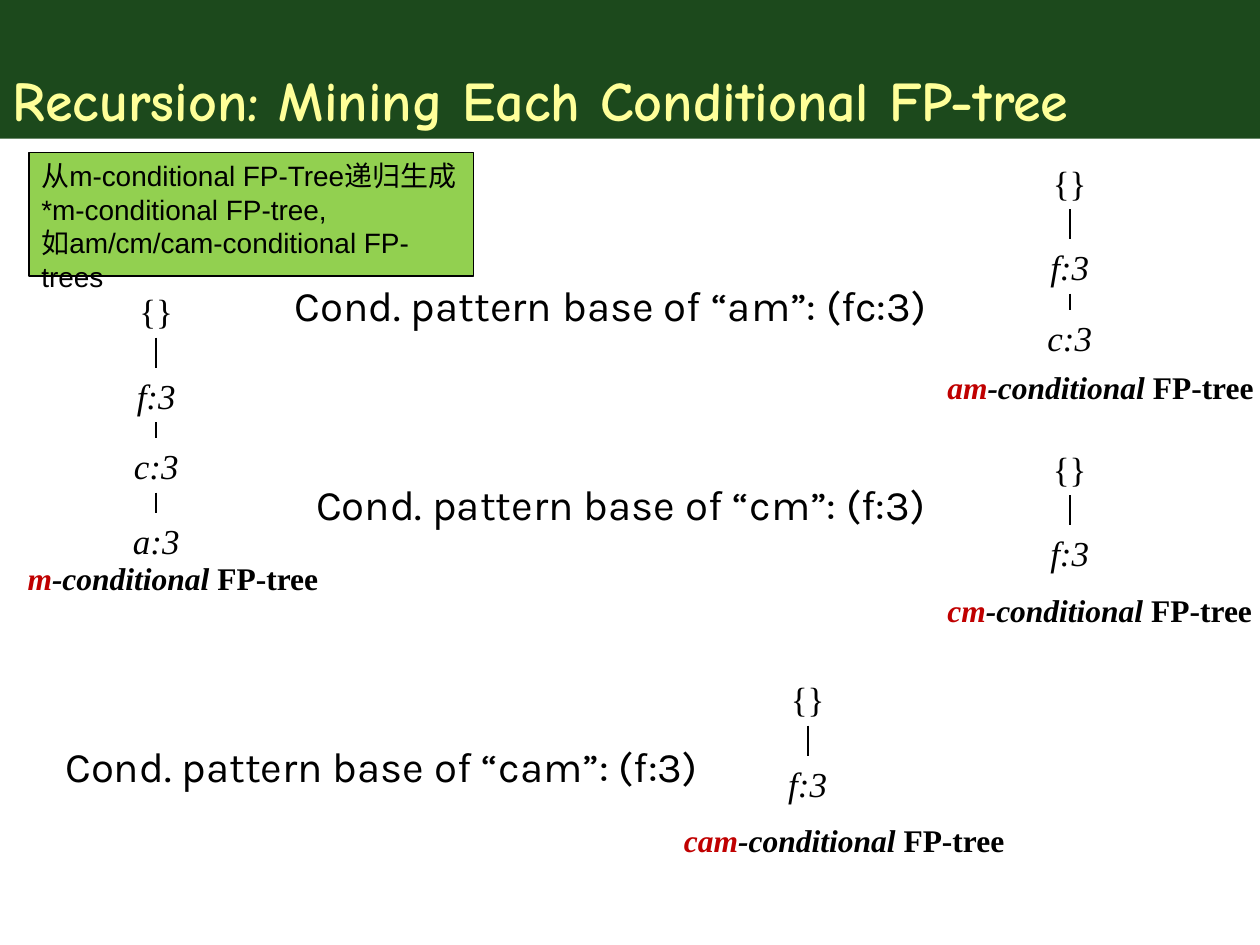
from lxml.etree import SubElement
from pptx import Presentation
from pptx.dml.color import RGBColor
from pptx.enum.shapes import MSO_CONNECTOR, MSO_SHAPE
from pptx.enum.text import MSO_ANCHOR, MSO_AUTO_SIZE, PP_ALIGN
from pptx.oxml.ns import qn
from pptx.util import Inches, Pt

COLORS = {
    "banner": "003300",
    "title": "FFFF99",
    "note": "92D050",
    "item": "C00000",
    "ink": "000000",
}
SERIF = "Times New Roman"
NODE_HEIGHT = 0.43
NODE_WIDTH = 0.57
NODE_OFFSETS = [0, 0.67, 1.23, 1.82]

# item, axis x, root top, nodes, caption left, caption top, caption width
TREES = [
    ("m", 1.24, 2.25, ["{}", "f:3", "c:3", "a:3"], 0.12, 4.39, 2.51),
    ("am", 8.49, 1.23, ["{}", "f:3", "c:3"], 7.42, 2.87, 2.64),
    ("cm", 8.49, 3.5, ["{}", "f:3"], 7.42, 4.64, 2.62),
    ("cam", 6.41, 5.33, ["{}", "f:3"], 5.33, 6.47, 2.75),
]
# text, left, top, width
PATTERN_BASES = [
    ("Cond. pattern base of “am”: (fc:3)", 2.24, 2.17, 5.26),
    ("Cond. pattern base of “cm”: (f:3)", 2.41, 3.75, 5.09),
    ("Cond. pattern base of “cam”: (f:3)", 0.42, 5.83, 5.26),
]
NOTE = ("从m-conditional FP-Tree递归生成*m-conditional FP-tree, "
        "如am/cm/cam-conditional FP-trees")


def rgb(name):
    return RGBColor.from_string(COLORS[name])


def add_run(paragraph, text, size, font, color="ink", bold=False, italic=False):
    run = paragraph.add_run()
    run.text = text
    run.font.size = Pt(size)
    run.font.name = font
    run.font.bold = bold
    run.font.italic = italic
    run.font.color.rgb = rgb(color)


def add_label(shapes, left, top, width, height, align=PP_ALIGN.LEFT):
    """Add an unwrapped text box and return its empty paragraph."""
    label = shapes.add_textbox(Inches(left), Inches(top), Inches(width), Inches(height))
    label.text_frame.word_wrap = False
    label.text_frame.auto_size = MSO_AUTO_SIZE.SHAPE_TO_FIT_TEXT
    paragraph = label.text_frame.paragraphs[0]
    paragraph.alignment = align
    return paragraph


def add_branch(shapes, x, top, bottom):
    branch = shapes.add_connector(
        MSO_CONNECTOR.STRAIGHT, Inches(x), Inches(top), Inches(x), Inches(bottom))
    branch.line.color.rgb = rgb("ink")
    branch.line.width = Pt(1)
    SubElement(branch._element.spPr, qn("a:effectLst"))


def add_tree(slide, item, axis, root_top, nodes, caption_left, caption_top, caption_width):
    shapes = slide.shapes.add_group_shape().shapes
    tops = [root_top + offset for offset in NODE_OFFSETS[:len(nodes)]]
    for node, top in zip(nodes, tops):
        paragraph = add_label(shapes, axis - NODE_WIDTH / 2, top,
                              NODE_WIDTH, NODE_HEIGHT, PP_ALIGN.CENTER)
        add_run(paragraph, node, 20, SERIF, italic=node != "{}")
    for parent_top, child_top in zip(tops, tops[1:]):
        add_branch(shapes, axis, parent_top + NODE_HEIGHT, child_top)

    caption = add_label(shapes, caption_left, caption_top, caption_width, 0.4)
    add_run(caption, item, 18, SERIF, "item", bold=True, italic=True)
    add_run(caption, "-conditional ", 18, SERIF, bold=True, italic=True)
    add_run(caption, "FP-tree", 18, SERIF, bold=True)


def add_title(slide, text):
    title = slide.shapes.title
    title.left, title.top = Inches(0), Inches(0)
    title.width, title.height = Inches(10), Inches(1.1)
    title.fill.solid()
    title.fill.fore_color.rgb = rgb("banner")
    banner_color = title._element.spPr.find(qn("a:solidFill"))[0]
    SubElement(banner_color, qn("a:alpha"), val="89000")
    title.text_frame.vertical_anchor = MSO_ANCHOR.BOTTOM
    title.text_frame.auto_size = MSO_AUTO_SIZE.NONE
    paragraph = title.text_frame.paragraphs[0]
    paragraph.alignment = PP_ALIGN.LEFT
    add_run(paragraph, text, 32, "Comic Neue", "title", bold=True)


def add_note(slide, text):
    note = slide.shapes.add_shape(MSO_SHAPE.FLOWCHART_PROCESS, Inches(0.23),
                                  Inches(1.21), Inches(3.53), Inches(0.98))
    note.shadow.inherit = False
    note.fill.solid()
    note.fill.fore_color.rgb = rgb("note")
    note.line.color.rgb = rgb("ink")
    note.line.width = Pt(0.75)
    note.text_frame.word_wrap = True
    note.text_frame.vertical_anchor = MSO_ANCHOR.TOP
    paragraph = note.text_frame.paragraphs[0]
    paragraph.alignment = PP_ALIGN.LEFT
    add_run(paragraph, text, 16, "Arial")


def main():
    presentation = Presentation()
    presentation.slide_width = Inches(10)
    presentation.slide_height = Inches(7.5)
    slide = presentation.slides.add_slide(presentation.slide_layouts[5])
    add_title(slide, "Recursion: Mining Each Conditional FP-tree")
    for tree in TREES:
        add_tree(slide, *tree)
    for text, left, top, width in PATTERN_BASES:
        add_run(add_label(slide.shapes, left, top, width, 0.5), text, 24, "Karla")
    add_note(slide, NOTE)
    presentation.save("out.pptx")


if __name__ == "__main__":
    main()
